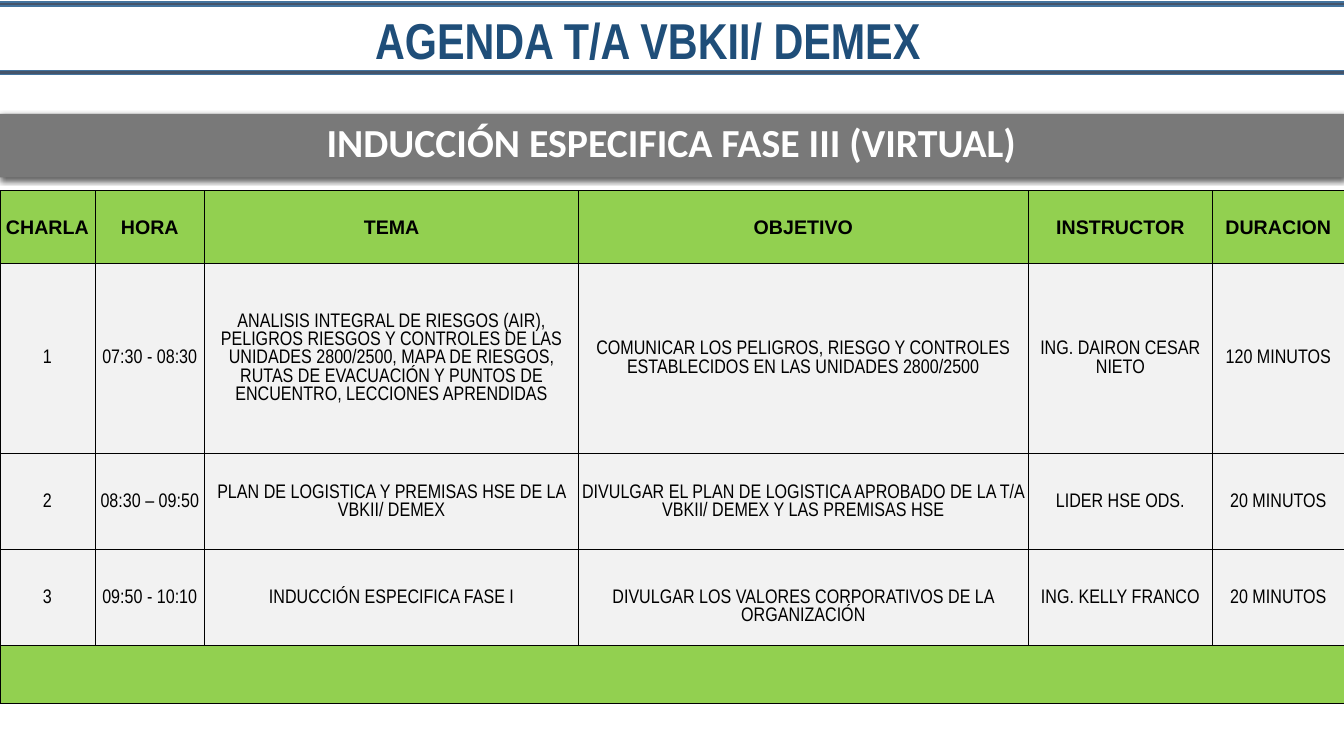
from dataclasses import dataclass

from lxml import etree
from pptx import Presentation
from pptx.dml.color import RGBColor
from pptx.enum import shapes, text
from pptx.oxml import parse_xml
from pptx.oxml.ns import nsdecls, qn
from pptx.util import Cm, Pt

COLORS = {
    "navy": "1F4E79", "rule": "44546A", "rule_edge": "43739E", "banner": "797979",
    "green": "92D050", "pale": "F2F2F2", "black": "000000", "white": "FFFFFF",
}
SLIDE_W, SLIDE_H = 33.87, 19.05


def rgb(name: str) -> RGBColor:
    return RGBColor.from_string(COLORS[name])


@dataclass
class Bar:
    left: float
    top: float
    width: float
    height: float
    fill: str
    edge: str | None = None


@dataclass
class TextStyle:
    font: str
    size: float
    color: str
    bold: bool = False
    spacing: float = 1.0


TITLE = TextStyle("Arial Narrow", 36, "navy", True)
SUBTITLE = TextStyle("Calibri", 28.4, "white", True, 0.9)
HEADER = TextStyle("Arial", 14, "black", True)
BODY = TextStyle("Arial Narrow", 14, "black")

RULES = [Bar(-0.02, top, 33.9, 0.1, "rule", "rule_edge") for top in (1.78, 0.05)]
BANNER = Bar(0, 2.87, SLIDE_W, 1.6, "banner")

COL_WIDTHS = [2.39, 2.77, 9.42, 11.33, 4.65, 3.31]
ROW_HEIGHTS = [1.83, 4.8, 2.42, 2.42, 1.45]
ROWS = [
    ["CHARLA", "HORA", "TEMA", "OBJETIVO", "INSTRUCTOR", "DURACION"],
    ["1", "07:30 - 08:30",
     "ANALISIS INTEGRAL DE RIESGOS (AIR), PELIGROS RIESGOS Y CONTROLES DE LAS "
     "UNIDADES 2800/2500, MAPA DE RIESGOS, RUTAS DE EVACUACIÓN Y PUNTOS DE "
     "ENCUENTRO, LECCIONES APRENDIDAS",
     "COMUNICAR LOS PELIGROS, RIESGO Y CONTROLES ESTABLECIDOS EN LAS UNIDADES 2800/2500",
     "ING. DAIRON CESAR NIETO", "120 MINUTOS"],
    ["2", "08:30 – 09:50", "PLAN DE LOGISTICA Y PREMISAS HSE DE LA VBKII/ DEMEX",
     "DIVULGAR EL PLAN DE LOGISTICA APROBADO DE LA T/A VBKII/ DEMEX Y LAS PREMISAS HSE",
     "LIDER HSE ODS.", "20 MINUTOS"],
    ["3", "09:50 - 10:10", "INDUCCIÓN ESPECIFICA FASE I",
     "DIVULGAR LOS VALORES CORPORATIVOS DE LA ORGANIZACIÓN",
     "ING. KELLY FRANCO", "20 MINUTOS"],
]
LOWERED_CELL = (3, 3)


def write(tf, content: str, style: TextStyle) -> None:
    tf.word_wrap = True
    p = tf.paragraphs[0]
    p.text = content
    p.alignment = text.PP_ALIGN.CENTER
    p.line_spacing = style.spacing
    p.font.name, p.font.size, p.font.bold = style.font, Pt(style.size), style.bold
    p.font.color.rgb = rgb(style.color)


def add_bar(s, bar: Bar):
    sp = s.shapes.add_shape(shapes.MSO_SHAPE.RECTANGLE, Cm(bar.left), Cm(bar.top),
                            Cm(bar.width), Cm(bar.height))
    sp.shadow.inherit = False
    sp.fill.solid()
    sp.fill.fore_color.rgb = rgb(bar.fill)
    if bar.edge:
        sp.line.color.rgb = rgb(bar.edge)
        sp.line.width = Pt(1)
    else:
        sp.line.fill.background()
    return sp


def add_shadow(sp) -> None:
    effects = sp._element.spPr.find(qn("a:effectLst"))
    effects.append(parse_xml(
        f'<a:outerShdw {nsdecls("a")} blurRad="{Pt(4.5)}" dist="{Pt(1.5)}" dir="5400000" '
        f'algn="ctr" rotWithShape="0"><a:srgbClr val="{COLORS["black"]}">'
        '<a:alpha val="63000"/></a:srgbClr></a:outerShdw>'))


def format_cell(cell, fill: str) -> None:
    cell.vertical_anchor = text.MSO_ANCHOR.MIDDLE
    cell.margin_left = cell.margin_right = cell.margin_top = Cm(0.03)
    cell.margin_bottom = 0
    tcPr = cell._tc.get_or_add_tcPr()
    for side in ("lnL", "lnR", "lnT", "lnB"):
        ln = etree.SubElement(tcPr, qn(f"a:{side}"), w=str(Pt(0.5)))
        solid = etree.SubElement(ln, qn("a:solidFill"))
        etree.SubElement(solid, qn("a:srgbClr"), val=COLORS["black"])
    cell.fill.solid()
    cell.fill.fore_color.rgb = rgb(fill)


def add_agenda(s) -> None:
    n_rows, n_cols = len(ROW_HEIGHTS), len(COL_WIDTHS)
    table = s.shapes.add_table(n_rows, n_cols, 0, Cm(4.8), Cm(sum(COL_WIDTHS)),
                               Cm(sum(ROW_HEIGHTS))).table
    for col, width in zip(table.columns, COL_WIDTHS):
        col.width = Cm(width)
    for i, height in enumerate(ROW_HEIGHTS):
        table.rows[i].height = Cm(height)
        for j in range(n_cols):
            format_cell(table.cell(i, j), "green" if i in (0, n_rows - 1) else "pale")
    for i, row in enumerate(ROWS):
        for j, content in enumerate(row):
            write(table.cell(i, j).text_frame, content, BODY if i else HEADER)
    table.cell(*LOWERED_CELL).margin_top = Cm(0.5)
    table.cell(n_rows - 1, 0).merge(table.cell(n_rows - 1, n_cols - 1))


def main() -> None:
    prs = Presentation()
    prs.slide_width, prs.slide_height = Cm(SLIDE_W), Cm(SLIDE_H)
    s = prs.slides.add_slide(prs.slide_layouts[5])

    # Title between two rules
    title = s.shapes.title
    title.left, title.top, title.width, title.height = Cm(-0.02), Cm(0.1), Cm(32.7), Cm(3.33)
    title.text_frame.vertical_anchor = text.MSO_ANCHOR.TOP
    write(title.text_frame, "AGENDA T/A VBKII/ DEMEX", TITLE)
    for rule in RULES:
        add_bar(s, rule)

    # Grey banner
    add_shadow(add_bar(s, BANNER))

    # Agenda table
    add_agenda(s)

    # Banner text
    box = s.shapes.add_textbox(Cm(4.14), Cm(2.39), Cm(25.58), Cm(2.49))
    box.text_frame.vertical_anchor = text.MSO_ANCHOR.MIDDLE
    write(box.text_frame, "INDUCCIÓN ESPECIFICA FASE III (VIRTUAL)", SUBTITLE)

    prs.save("out.pptx")


if __name__ == "__main__":
    main()
